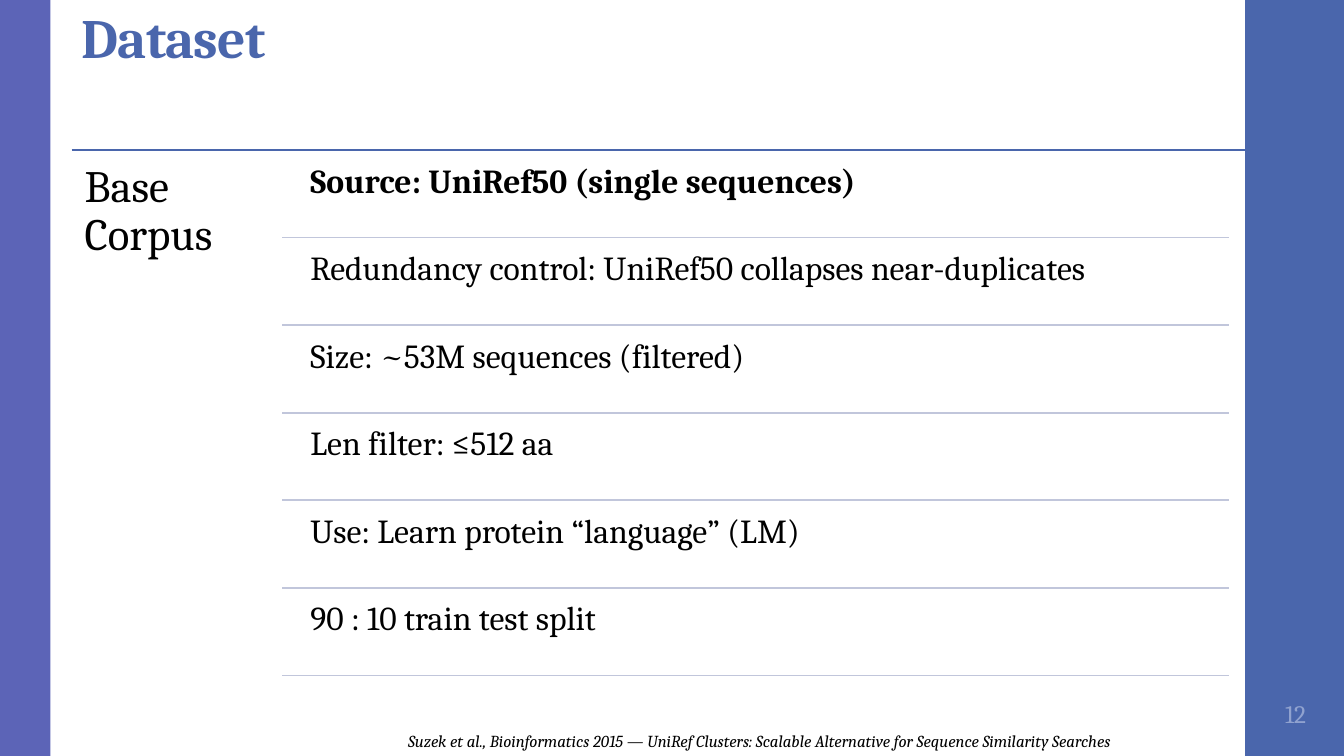
from lxml.etree import SubElement
from pptx import Presentation
from pptx.dml.color import RGBColor
from pptx.enum.shapes import MSO_CONNECTOR, MSO_SHAPE
from pptx.enum.text import MSO_ANCHOR, PP_ALIGN
from pptx.oxml.ns import qn
from pptx.util import Inches, Pt


def color(value):
    return RGBColor.from_string(value)


class Deck:
    """Draws styled elements on the current slide."""

    FONT = "Cambria"
    BLUE = "4A66AC"
    PURPLE = "5C64B7"
    RULE = "C1C6DB"
    PALE = "90A2CF"
    BLACK = "000000"

    def __init__(self, prs):
        self.s = prs.slides.add_slide(prs.slide_layouts[6])

    def bar(self, x, y, w, h, fill):
        sp = self.s.shapes.add_shape(
            MSO_SHAPE.RECTANGLE, Inches(x), Inches(y), Inches(w), Inches(h))
        sp.shadow.inherit = False
        sp.fill.solid()
        sp.fill.fore_color.rgb = color(fill)
        sp.line.fill.background()

    def rule(self, x1, x2, y, stroke):
        ln = self.s.shapes.add_connector(
            MSO_CONNECTOR.STRAIGHT, Inches(x1), Inches(y), Inches(x2), Inches(y))
        ln.line.color.rgb = color(stroke)
        ln.line.width = Pt(1.1)
        SubElement(ln._element.spPr, qn("a:effectLst"))

    def text(self, x, y, w, h, text, size, fill=BLACK, insets=(0.1, 0.05, 0.1, 0.05),
             bold=False, italic=False, spacing=1.0, tracking=None,
             anchor=MSO_ANCHOR.TOP, align=PP_ALIGN.LEFT):
        sp = self.s.shapes.add_textbox(Inches(x), Inches(y), Inches(w), Inches(h))
        tf = sp.text_frame
        tf.word_wrap = True
        tf.vertical_anchor = anchor
        tf.margin_left, tf.margin_top, tf.margin_right, tf.margin_bottom = map(Inches, insets)
        tf.text = text
        p = tf.paragraphs[0]
        p.alignment = align
        p.line_spacing = spacing
        r = p.runs[0]
        r.font.name = self.FONT
        r.font.size = Pt(size)
        r.font.bold = bold
        r.font.italic = italic
        r.font.color.rgb = color(fill)
        if tracking is not None:
            r.font._element.set("spc", str(round(tracking * 100)))


def main():
    prs = Presentation()
    prs.slide_width, prs.slide_height = Inches(13.33), Inches(7.5)
    deck = Deck(prs)

    deck.bar(12.35, 0, 0.98, 7.5, deck.BLUE)
    deck.bar(0, 0, 0.5, 7.5, deck.PURPLE)
    deck.text(0.71, 0.04, 8.16, 0.71, "Dataset", 39.6, deck.BLUE,
              insets=(0.1, 0.03, 0.1, 0.05), bold=True, spacing=0.9, tracking=-0.5,
              anchor=MSO_ANCHOR.BOTTOM)
    deck.text(3.95, 7.2, 8.75, 0.3,
              "Suzek et al., Bioinformatics 2015 — UniRef Clusters: "
              "Scalable Alternative for Sequence Similarity Searches", 12, italic=True)

    top, bottom = 1.49, 6.7
    deck.rule(0.71, 12.45, top, deck.BLUE)
    deck.text(0.71, top, 2.09, bottom - top, "Base Corpus", 32,
              insets=(0.13,) * 4, spacing=0.9)

    facts = [
        "Source: UniRef50 (single sequences)",
        "Redundancy control: UniRef50 collapses near-duplicates",
        "Size: ~53M sequences (filtered)",
        "Len filter: ≤512 aa",
        "Use: Learn protein “language” (LM)",
        "90 : 10 train test split",
    ]
    pitch = (bottom - top) / len(facts)
    for i, fact in enumerate(facts):
        y = top + i * pitch
        deck.text(2.98, y + 0.04, 9.22, 0.83, fact, 24, insets=(0.1,) * 4,
                  bold=i == 0, spacing=0.9)
        deck.rule(2.8, 12.19, y + pitch, deck.RULE)

    deck.text(12.35, 6.75, 1, 0.65, "12", 18, deck.PALE, insets=(0.05,) * 4,
              anchor=MSO_ANCHOR.MIDDLE, align=PP_ALIGN.CENTER)
    prs.save("out.pptx")


if __name__ == "__main__":
    main()
